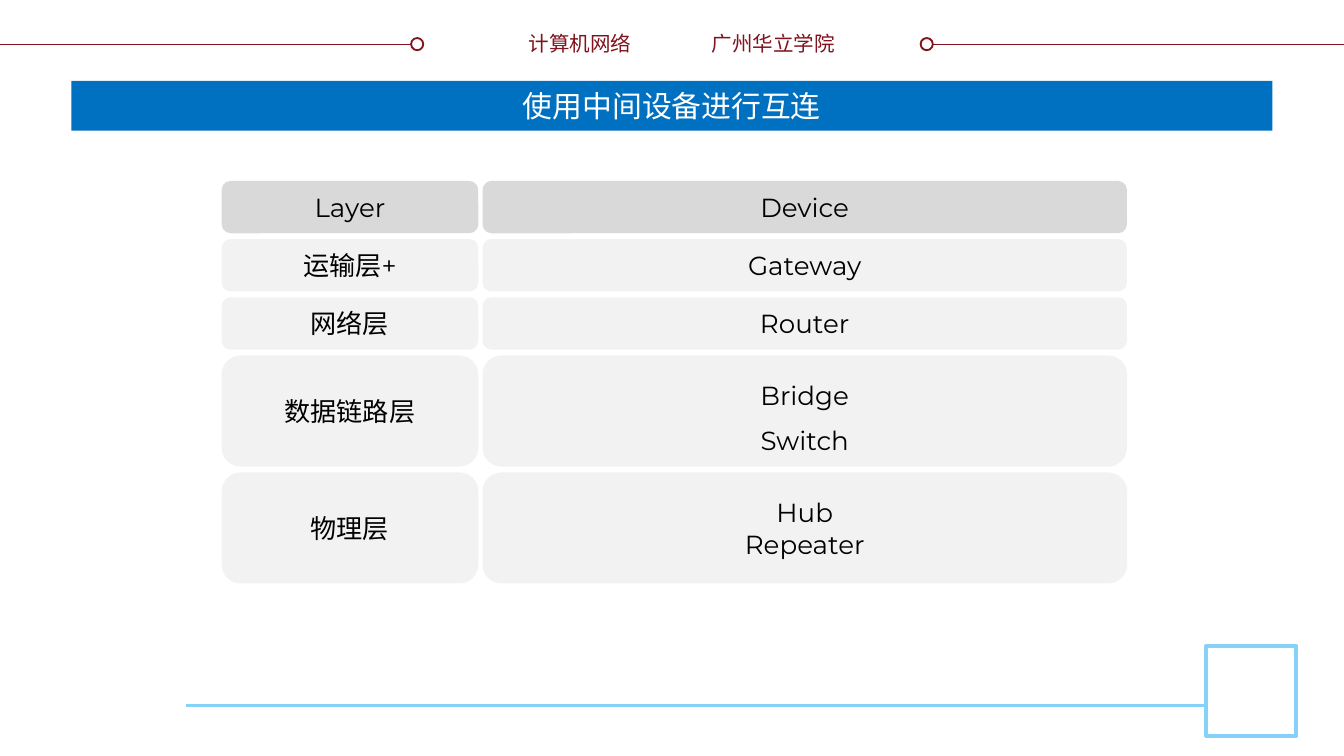
from pptx import Presentation
from pptx.dml.color import RGBColor
from pptx.enum.shapes import MSO_CONNECTOR, MSO_SHAPE
from pptx.enum.text import MSO_ANCHOR, PP_ALIGN
from pptx.oxml.ns import qn
from pptx.util import Cm, Pt
from lxml.etree import SubElement

COLORS = {
    "maroon": "7F131F",
    "sky": "85D1F7",
    "blue": "0070C0",
    "header": "D9D9D9",
    "cell": "F2F2F2",
    "white": "FFFFFF",
    "black": "000000",
}
LATIN_FONT = "Montserrat"
CHINESE_FONT = "Noto Sans CJK SC"

presentation = Presentation()
presentation.slide_width = Cm(25.4)
presentation.slide_height = Cm(14.29)
slide = presentation.slides.add_slide(presentation.slide_layouts[6])


def add_box(kind, left, top, width, height, fill, line=None, line_width=1):
    """Add a filled preset shape, measured in cm, without shadow."""
    shape = slide.shapes.add_shape(kind, Cm(left), Cm(top), Cm(width), Cm(height))
    shape.shadow.inherit = False
    shape.fill.solid()
    shape.fill.fore_color.rgb = RGBColor.from_string(COLORS[fill])
    if line:
        shape.line.color.rgb = RGBColor.from_string(COLORS[line])
        shape.line.width = Pt(line_width)
    else:
        shape.line.fill.background()
    return shape


def write_text(shape, text, size, color, align, latin=LATIN_FONT, spacing=None):
    """Set the text, one paragraph a line, and format every run."""
    shape.text_frame.text = text
    for paragraph in shape.text_frame.paragraphs:
        paragraph.alignment = align
        paragraph.line_spacing = spacing
        for run in paragraph.runs:
            run.font.size = Pt(size)
            run.font.color.rgb = RGBColor.from_string(COLORS[color])
            run.font.name = latin
            east_asian = SubElement(run.font._element, qn("a:ea"))
            east_asian.set("typeface", CHINESE_FONT)


# Header and footer rules
for start, end, y, color, width in (
    (0, 8, 0.84, "maroon", 1),
    (17.4, 25.4, 0.84, "maroon", 1),
    (3.52, 22.8, 13.34, "sky", 1.5),
):
    rule = slide.shapes.add_connector(
        MSO_CONNECTOR.STRAIGHT, Cm(start), Cm(y), Cm(end), Cm(y))
    rule.line.color.rgb = RGBColor.from_string(COLORS[color])
    rule.line.width = Pt(width)
    SubElement(rule._element.spPr, qn("a:effectLst"))

for left in (7.77, 17.4):
    add_box(MSO_SHAPE.OVAL, left, 0.72, 0.23, 0.23, "white", "maroon")
add_box(MSO_SHAPE.RECTANGLE, 22.8, 12.21, 1.7, 1.7, "white", "sky", 2)

# Course and school names
for text, left, width, align in (
    ("计算机网络", 9.73, 2.46, PP_ALIGN.RIGHT),
    ("广州华立学院", 13.2, 2.95, PP_ALIGN.LEFT),
):
    label = slide.shapes.add_textbox(Cm(left), Cm(0.46), Cm(width), Cm(0.73))
    label.text_frame.word_wrap = False
    write_text(label, text, 11, "maroon", align, latin=CHINESE_FONT)

# Title bar
title = add_box(MSO_SHAPE.RECTANGLE, 1.35, 1.53, 22.7, 0.94, "blue")
title.text_frame.word_wrap = True
title.text_frame.vertical_anchor = MSO_ANCHOR.MIDDLE
write_text(title, "使用中间设备进行互连", 16, "white", PP_ALIGN.CENTER)

# Grid of layers and devices
COLUMNS = ((4.19, 4.85), (9.12, 12.18))
ROW_HEIGHT, TALL_HEIGHT, GAP = 0.99, 2.1, 0.11
rows = (
    ("Layer", "Device", ROW_HEIGHT),
    ("运输层+", "Gateway", ROW_HEIGHT),
    ("网络层", "Router", ROW_HEIGHT),
    ("数据链路层", "Bridge\nSwitch", TALL_HEIGHT),
    ("物理层", "Hub\nRepeater", TALL_HEIGHT),
)
top = 3.42
for layer, device, height in rows:
    fill = "header" if layer == "Layer" else "cell"
    for text, (left, width) in zip((layer, device), COLUMNS):
        cell = add_box(MSO_SHAPE.ROUNDED_RECTANGLE, left, top, width, height, fill)
        cell.adjustments[0] = 0.17
        cell.text_frame.word_wrap = False
        cell.text_frame.vertical_anchor = MSO_ANCHOR.MIDDLE
        spacing = Pt(24) if text.startswith("Bridge") else None
        write_text(cell, text, 14, "black", PP_ALIGN.CENTER, spacing=spacing)
    top += height + GAP

presentation.save("out.pptx")
